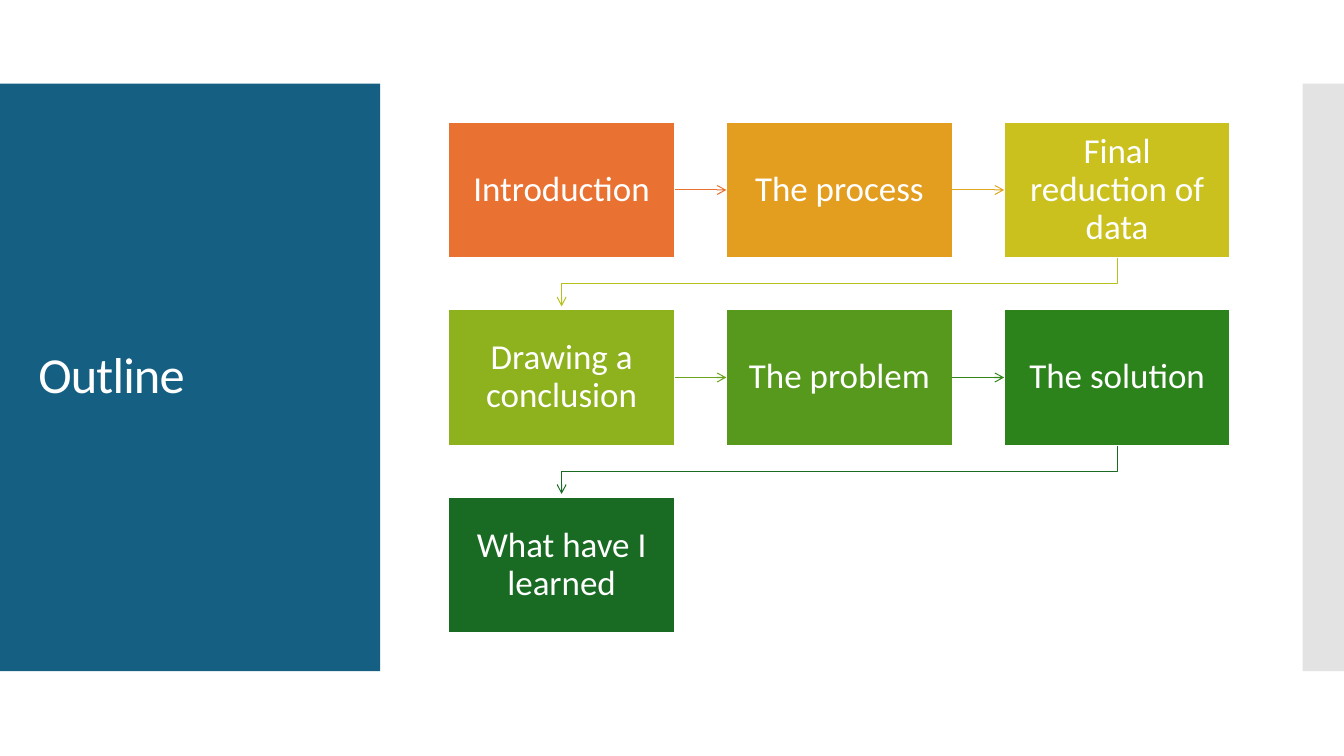
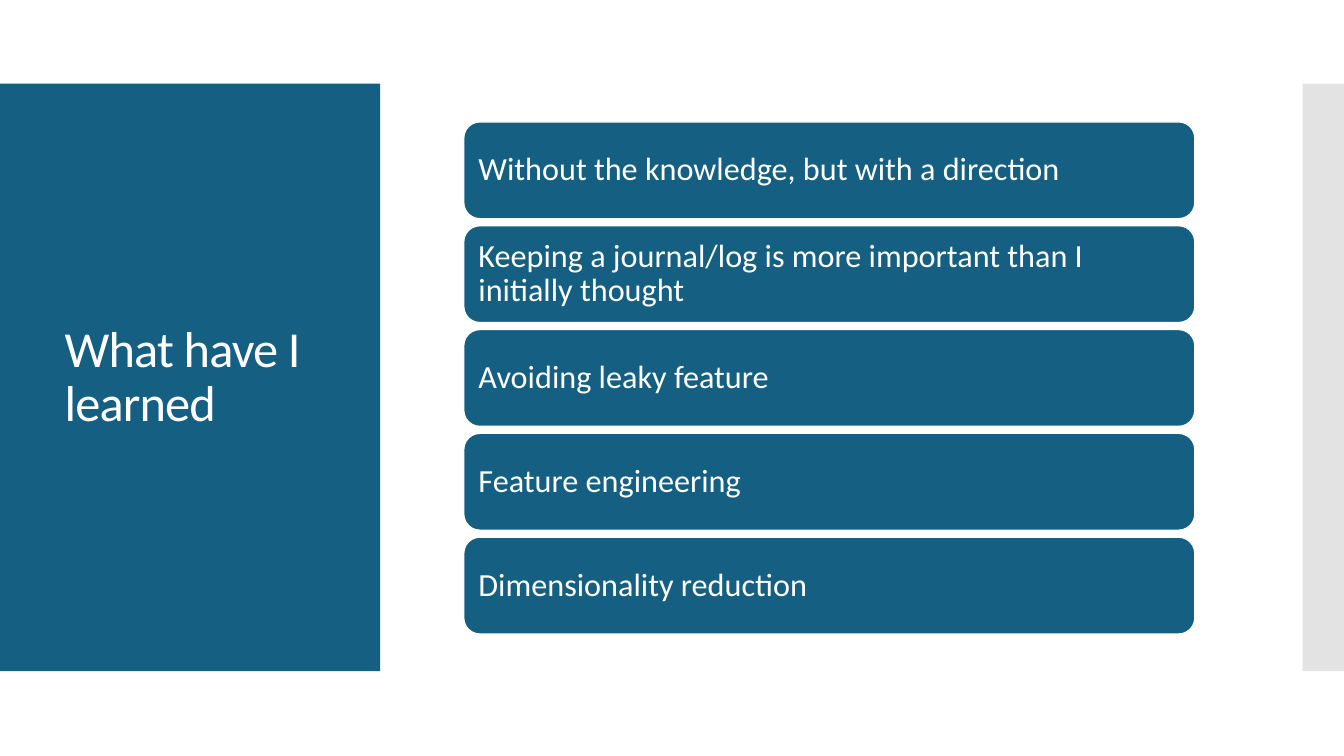
from lxml.etree import SubElement
from pptx import Presentation
from pptx.dml.color import RGBColor
from pptx.enum.shapes import MSO_CONNECTOR, MSO_SHAPE
from pptx.enum.text import MSO_ANCHOR, MSO_AUTO_SIZE, PP_ALIGN
from pptx.oxml.ns import qn
from pptx.util import Inches, Pt

FONT = "Calibri"
WHITE = RGBColor(0xFF, 0xFF, 0xFF)
BLUE = RGBColor(0x15, 0x60, 0x82)
GRAY = RGBColor(0xC8, 0xC8, 0xC8)

ORANGE = RGBColor(0xE9, 0x71, 0x32)
AMBER = RGBColor(0xE3, 0x9D, 0x1F)
GOLD = RGBColor(0xE0, 0xA6, 0x1D)
YELLOW = RGBColor(0xCB, 0xC1, 0x1E)
OLIVE = RGBColor(0xB7, 0xC1, 0x1E)
LIME = RGBColor(0x8E, 0xB2, 0x1E)
MOSS = RGBColor(0x6B, 0xA3, 0x1D)
GREEN = RGBColor(0x56, 0x99, 0x1D)
FERN = RGBColor(0x34, 0x86, 0x1C)
FOREST = RGBColor(0x2C, 0x82, 0x1B)
PINE = RGBColor(0x19, 0x6B, 0x24)

BAND_TOP, BAND_HEIGHT = 0.83, 5.83
CONTENT_TOP = 1.21

COLUMNS = 3
GRID_LEFT, GRID_RIGHT = 4.45, 12.2
BOX_WIDTH, BOX_HEIGHT = 2.24, 1.35
COLUMN_STEP = (GRID_RIGHT - GRID_LEFT - BOX_WIDTH) / (COLUMNS - 1)
ROW_STEP = 1.86
ARROW_GAP = 0.03

BAR_LEFT, BAR_WIDTH, BAR_HEIGHT, BAR_STEP = 4.6, 7.25, 0.96, 1.03

STEPS = [
    ("Introduction", ORANGE),
    ("The process", AMBER),
    ("Final reduction of data", YELLOW),
    ("Drawing a conclusion", LIME),
    ("The problem", GREEN),
    ("The solution", FOREST),
    ("What have I learned", PINE),
]
ARROW_COLORS = [ORANGE, GOLD, OLIVE, MOSS, FERN, PINE]

LESSONS = [
    "Without the knowledge, but with a direction",
    "Keeping a journal/log is more important than I initially thought",
    "Avoiding leaky feature",
    "Feature engineering",
    "Dimensionality reduction",
]


def write_text(shape, text, size, align=PP_ALIGN.LEFT, margins=(0.1, 0.05), spacing=None):
    frame = shape.text_frame
    frame.word_wrap = True
    frame.auto_size = MSO_AUTO_SIZE.NONE
    frame.vertical_anchor = MSO_ANCHOR.MIDDLE
    frame.margin_left = frame.margin_right = Inches(margins[0])
    frame.margin_top = frame.margin_bottom = Inches(margins[1])
    paragraph = frame.paragraphs[0]
    paragraph.alignment = align
    paragraph.line_spacing = 0.9
    run = paragraph.add_run()
    run.text = text
    run.font.name = FONT
    run.font.size = Pt(size)
    run.font.color.rgb = WHITE
    if spacing is not None:
        run.font._element.set("spc", str(round(spacing * 100)))


def add_block(slide, kind, left, top, width, height, fill, outlined=True):
    shape = slide.shapes.add_shape(
        kind, Inches(left), Inches(top), Inches(width), Inches(height)
    )
    shape.shadow.inherit = False
    shape.fill.solid()
    shape.fill.fore_color.rgb = fill
    if outlined:
        shape.line.color.rgb = WHITE
        shape.line.width = Pt(0.85)
    else:
        shape.line.fill.background()
    return shape


def add_layout_bands(layout, slide):
    left_band = add_block(
        slide, MSO_SHAPE.RECTANGLE, 0, BAND_TOP, 3.77, BAND_HEIGHT, BLUE, outlined=False
    )
    right_band = add_block(
        slide, MSO_SHAPE.RECTANGLE, 12.92, BAND_TOP, 0.42, BAND_HEIGHT, GRAY, outlined=False
    )
    color = right_band.element.spPr.find(qn("a:solidFill"))[0]
    SubElement(color, qn("a:alpha"), val="50000")
    for index, band in enumerate((left_band, right_band)):
        band.element.nvSpPr.cNvPr.id = 101 + index
        layout.shapes.element.insert(2 + index, band.element)


def set_title(slide, text, left, top, width, height):
    title = slide.shapes.title
    title.left, title.top = Inches(left), Inches(top)
    title.width, title.height = Inches(width), Inches(height)
    write_text(title, text, 36, spacing=-0.6)


def format_arrow(shape, color):
    shape.line.color.rgb = color
    shape.line.width = Pt(0.75)
    properties = shape.element.spPr
    SubElement(properties.get_or_add_ln(), qn("a:tailEnd"), type="arrow")
    SubElement(properties, qn("a:effectLst"))


def add_straight_arrow(slide, source, target, color):
    connector = slide.shapes.add_connector(MSO_CONNECTOR.STRAIGHT, 0, 0, 0, 0)
    connector.begin_connect(source, 3)
    connector.end_connect(target, 1)
    format_arrow(connector, color)


def add_return_arrow(slide, source, target, color):
    start_x = source.left + source.width // 2
    end_x = target.left + target.width // 2
    start_y = source.top + source.height
    bend_y = (start_y + target.top) // 2
    builder = slide.shapes.build_freeform(start_x, start_y)
    builder.add_line_segments(
        [(start_x, bend_y), (end_x, bend_y), (end_x, target.top - Inches(ARROW_GAP))],
        close=False,
    )
    shape = builder.convert_to_shape()
    shape.fill.background()
    format_arrow(shape, color)


def add_process(slide):
    boxes = []
    for index, (text, color) in enumerate(STEPS):
        row, column = divmod(index, COLUMNS)
        box = add_block(
            slide,
            MSO_SHAPE.RECTANGLE,
            GRID_LEFT + column * COLUMN_STEP,
            CONTENT_TOP + row * ROW_STEP,
            BOX_WIDTH,
            BOX_HEIGHT,
            color,
        )
        write_text(box, text, 25, align=PP_ALIGN.CENTER, margins=(0.11, 0.12))
        boxes.append(box)
    for source, target, color in zip(boxes, boxes[1:], ARROW_COLORS):
        add_arrow = add_straight_arrow if source.top == target.top else add_return_arrow
        add_arrow(slide, source, target, color)


def add_lessons(slide):
    for index, text in enumerate(LESSONS):
        bar = add_block(
            slide,
            MSO_SHAPE.ROUNDED_RECTANGLE,
            BAR_LEFT,
            CONTENT_TOP + index * BAR_STEP,
            BAR_WIDTH,
            BAR_HEIGHT,
            BLUE,
        )
        write_text(bar, text, 23, margins=(0.1, 0.1))


def main():
    presentation = Presentation()
    presentation.slide_width = Inches(13.33)
    presentation.slide_height = Inches(7.5)
    layout = presentation.slide_layouts[5]

    outline = presentation.slides.add_slide(layout)
    add_layout_bands(layout, outline)
    set_title(outline, "Outline", 0.28, 1.23, 3.22, 5.03)
    add_process(outline)

    learned = presentation.slides.add_slide(layout)
    set_title(learned, "What have I learned", 0.54, 1.84, 3.03, 3.82)
    add_lessons(learned)

    presentation.save("out.pptx")


if __name__ == "__main__":
    main()
